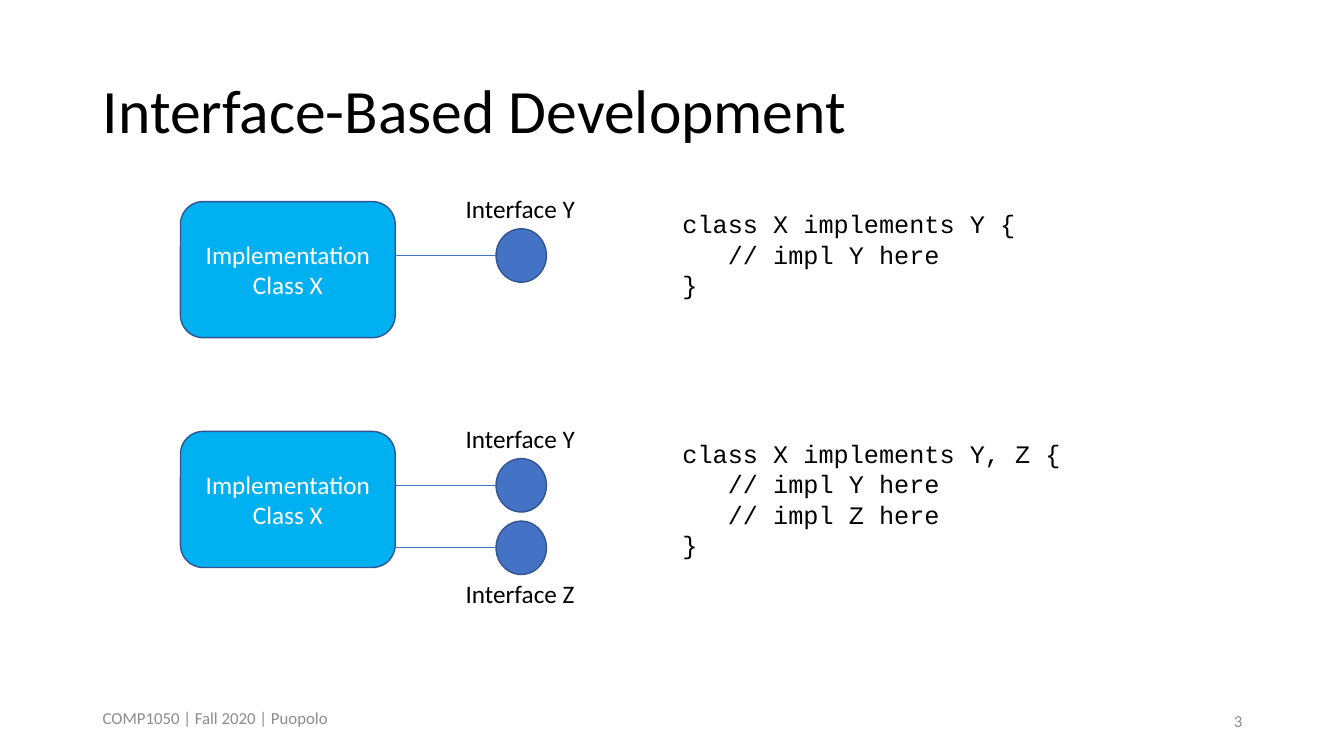
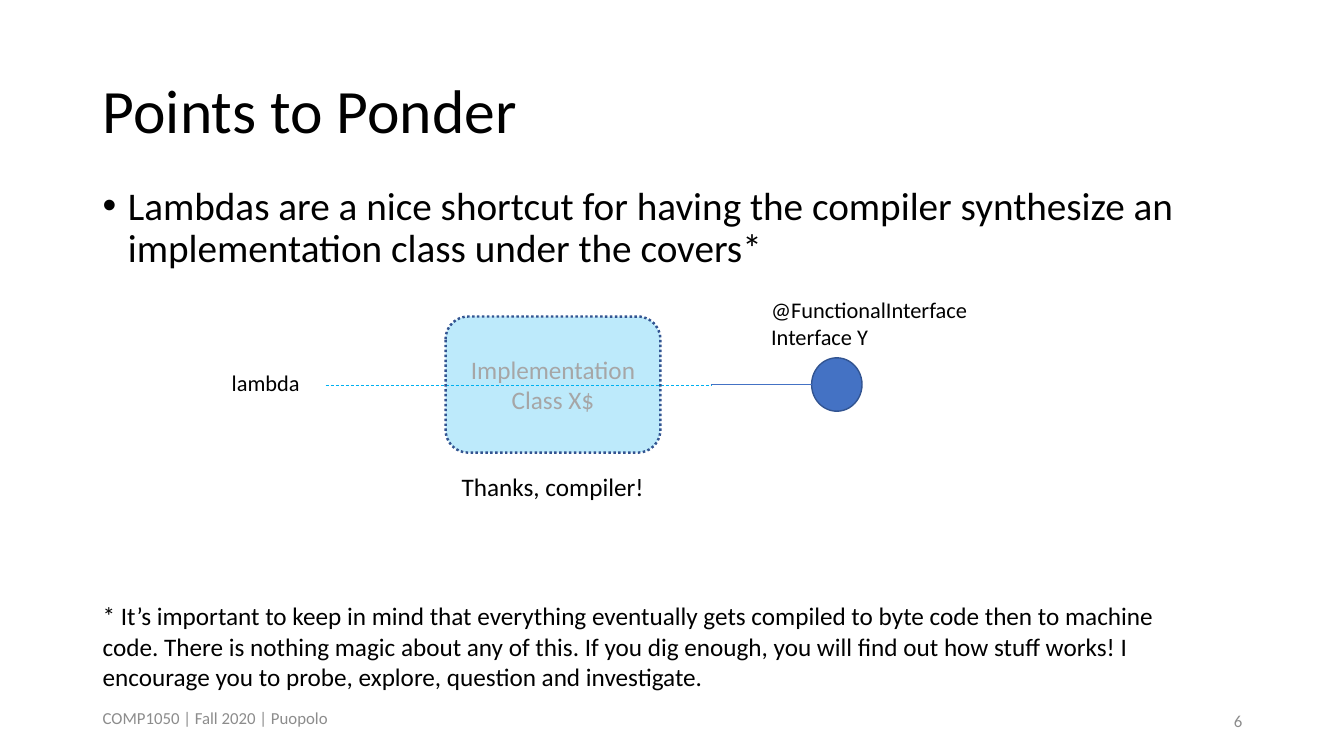
from lxml import etree
from pptx import Presentation
from pptx.dml.color import RGBColor
from pptx.enum.dml import MSO_LINE
from pptx.enum.shapes import MSO_CONNECTOR, MSO_SHAPE
from pptx.enum.text import MSO_ANCHOR, MSO_AUTO_SIZE, PP_ALIGN
from pptx.oxml.ns import qn
from pptx.util import Inches, Pt

BLACK = RGBColor(0, 0, 0)
WHITE = RGBColor(0xFF, 0xFF, 0xFF)
GRAY = RGBColor(0x8C, 0x8C, 0x8C)
PALE = RGBColor(0xA6, 0xA6, 0xA6)
CYAN = RGBColor(0x00, 0xB0, 0xF0)
BLUE = RGBColor(0x44, 0x72, 0xC4)
NAVY = RGBColor(0x32, 0x54, 0x91)

BODY = "Calibri"
CODE = "Courier New"
LEFT, WIDE = 0.92, 11.5
BOX_W, BOX_H = 2.13, 1.35
DOT_W, DOT_H = 0.5, 0.53
STEM = 1.0
TAB = 0.45  # three characters of code at 18 pt


def style(frame, size, color, font=BODY, align=PP_ALIGN.LEFT):
    for para in frame.paragraphs:
        para.alignment = align
        for run in para.runs:
            run.font.size = Pt(size)
            run.font.name = font
            run.font.color.rgb = color


def place(shape, left, top, width, height):
    shape.left, shape.top = Inches(left), Inches(top)
    shape.width, shape.height = Inches(width), Inches(height)


def add_text(slide, text, at, size=18, color=BLACK, font=BODY, wrap=True,
             align=PP_ALIGN.LEFT, anchor=MSO_ANCHOR.TOP):
    frame = slide.shapes.add_textbox(*map(Inches, at)).text_frame
    frame.text = text
    frame.word_wrap = wrap
    frame.vertical_anchor = anchor
    style(frame, size, color, font, align)
    return frame


def add_label(slide, text, at, size=18):
    add_text(slide, text, at, size, wrap=False)


def add_code(slide, lines, top, height):
    frame = add_text(slide, "\n".join(lines), (6.67, top, 4.17, height), font=CODE)
    for para in frame.paragraphs[1:-1]:
        para._p.get_or_add_pPr().set("marL", str(Inches(TAB)))


def add_bullet(slide, text, at):
    para = add_text(slide, text, at, 28).paragraphs[0]
    para.line_spacing = 0.9
    para.space_before = Pt(10)
    props = para._p.get_or_add_pPr()
    props.set("marL", str(Inches(0.25)))
    props.set("indent", str(Inches(-0.25)))
    etree.SubElement(props, qn("a:buFont")).set("typeface", "Arial")
    etree.SubElement(props, qn("a:buChar")).set("char", "\u2022")


def add_solid(slide, kind, at, fill):
    shape = slide.shapes.add_shape(kind, *map(Inches, at))
    shape.shadow.inherit = False
    shape.fill.solid()
    shape.fill.fore_color.rgb = fill
    shape.line.color.rgb = NAVY
    shape.line.width = Pt(1)
    return shape


def add_class(slide, text, left, top, color=WHITE):
    at = (left, top, BOX_W, BOX_H)
    box = add_solid(slide, MSO_SHAPE.ROUNDED_RECTANGLE, at, CYAN)
    box.text_frame.text = text
    box.text_frame.vertical_anchor = MSO_ANCHOR.MIDDLE
    style(box.text_frame, 18, color, align=PP_ALIGN.CENTER)
    return box


def make_ghost(box):
    box.line.width = Pt(1.75)
    box.line.dash_style = MSO_LINE.ROUND_DOT
    tint = box.fill._xPr.find(qn("a:solidFill"))[0]
    etree.SubElement(tint, qn("a:alpha")).set("val", "26000")


def add_line(slide, start, end, y, color=BLUE, dash=None):
    line = slide.shapes.add_connector(
        MSO_CONNECTOR.STRAIGHT, Inches(start), Inches(y), Inches(end), Inches(y))
    line.line.color.rgb = color
    line.line.width = Pt(0.5)
    if dash:
        line.line.dash_style = dash
    etree.SubElement(line._element.spPr, qn("a:effectLst"))


def add_port(slide, left, top):
    """Draw an interface: a stem that ends in a dot."""
    add_solid(slide, MSO_SHAPE.OVAL, (left + STEM, top, DOT_W, DOT_H), BLUE)
    add_line(slide, left, left + STEM, top + DOT_H / 2)


def add_slide(deck, title, number):
    slide = deck.slides.add_slide(deck.slide_layouts[5])
    # Title
    head = slide.shapes.title
    place(head, LEFT, 0.4, WIDE, 1.45)
    frame = head.text_frame
    frame.text = title
    frame.word_wrap = True
    frame.auto_size = MSO_AUTO_SIZE.NONE
    frame.vertical_anchor = MSO_ANCHOR.MIDDLE
    frame.paragraphs[0].line_spacing = 0.9
    style(frame, 44, BLACK)
    # Footer and page number
    add_text(slide, "COMP1050 | Fall 2020 | Puopolo", (LEFT, 6.92, 4.5, 0.4),
             12, GRAY, anchor=MSO_ANCHOR.MIDDLE)
    add_text(slide, str(number), (9.42, 6.95, 3, 0.4), 12, GRAY,
             align=PP_ALIGN.RIGHT, anchor=MSO_ANCHOR.MIDDLE)
    return slide


def build_types(deck):
    slide = add_slide(deck, "Interface-Based Development", 3)
    left = 1.79
    # Class with interface Y, once per example
    for top in (2, 4.28):
        add_class(slide, "Implementation Class X", left, top)
        add_port(slide, left + BOX_W, top + 0.27)
        add_label(slide, "Interface Y", (4.52, top - 0.13, 1.3, 0.4))
    # Second interface
    add_port(slide, left + BOX_W, 5.17)
    add_label(slide, "Interface Z", (4.52, 5.69, 1.29, 0.4))
    # Code
    add_code(slide, ["class X implements Y {", "// impl Y here", "}"], 2.02, 1.01)
    add_code(slide, ["class X implements Y, Z {", "// impl Y here",
                     "// impl Z here", "}"], 4.3, 1.31)


def build_points(deck):
    slide = add_slide(deck, "Points to Ponder", 6)
    add_bullet(slide, "Lambdas are a nice shortcut for having the compiler "
               "synthesize an implementation class under the covers*",
               (LEFT, 1.8, WIDE, 1.01))
    # Lambda, hidden class and interface
    add_label(slide, "lambda", (2.2, 3.61, 0.88, 0.37), 16)
    add_port(slide, 7.05, 3.55)
    add_label(slide, "@FunctionalInterface\nInterface Y", (7.55, 2.89, 2.17, 0.64), 16)
    add_line(slide, 3.23, 7.05, 3.82, CYAN, MSO_LINE.DASH)
    make_ghost(add_class(slide, "Implementation Class X$", 4.42, 3.14, PALE))
    add_label(slide, "Thanks, compiler!", (4.48, 4.63, 2.03, 0.4))
    # Footnote
    add_text(slide, "* It\u2019s important to keep in mind that everything "
             "eventually gets compiled to byte code then to machine code. "
             "There is nothing magic about any of this. If you dig enough, "
             "you will find out how stuff works! I encourage you to probe, "
             "explore, question and investigate.", (LEFT, 5.91, 11.05, 1.01))


def main():
    deck = Presentation()
    deck.slide_width, deck.slide_height = Inches(13.33), Inches(7.5)
    build_types(deck)
    build_points(deck)
    deck.save("out.pptx")


main()
